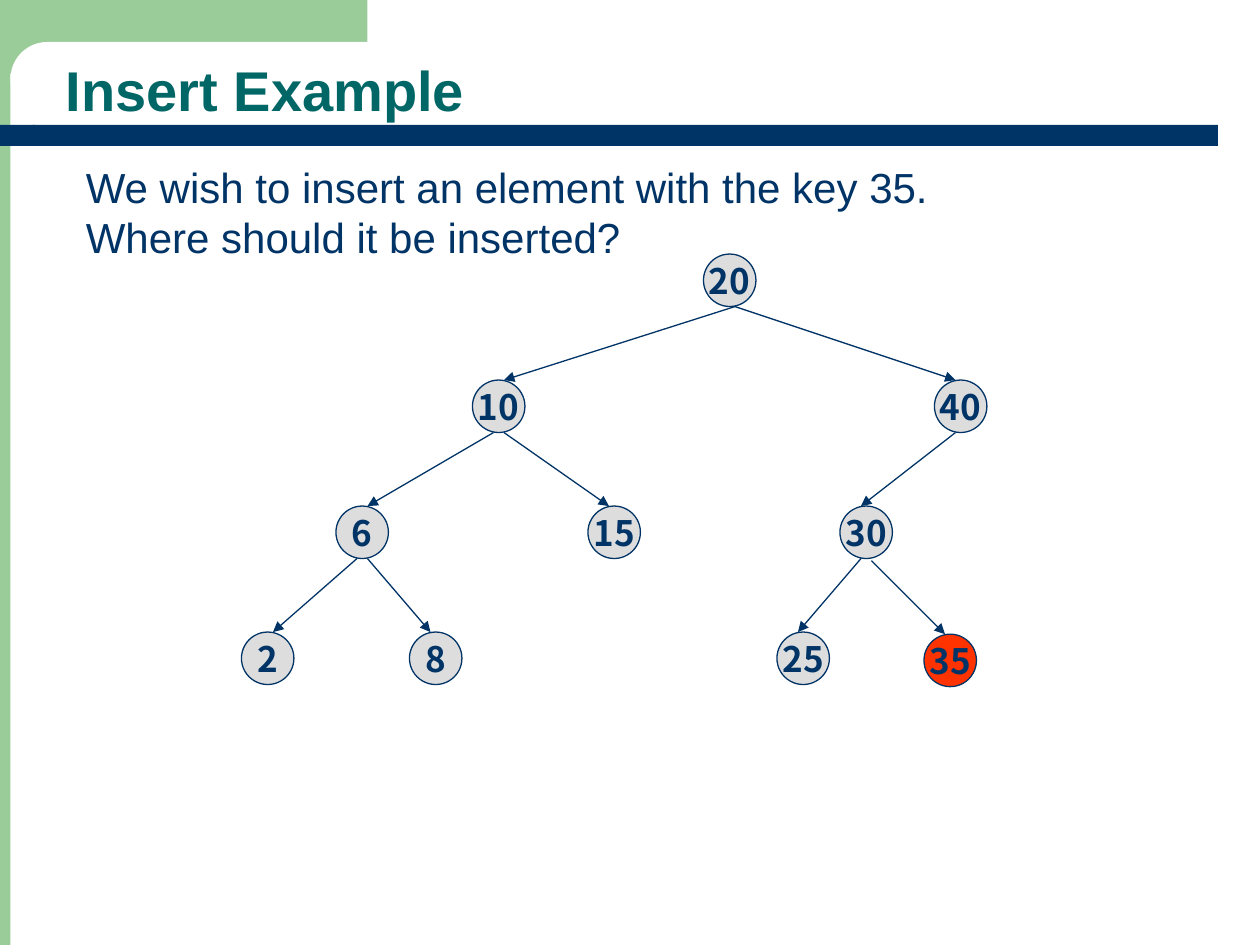
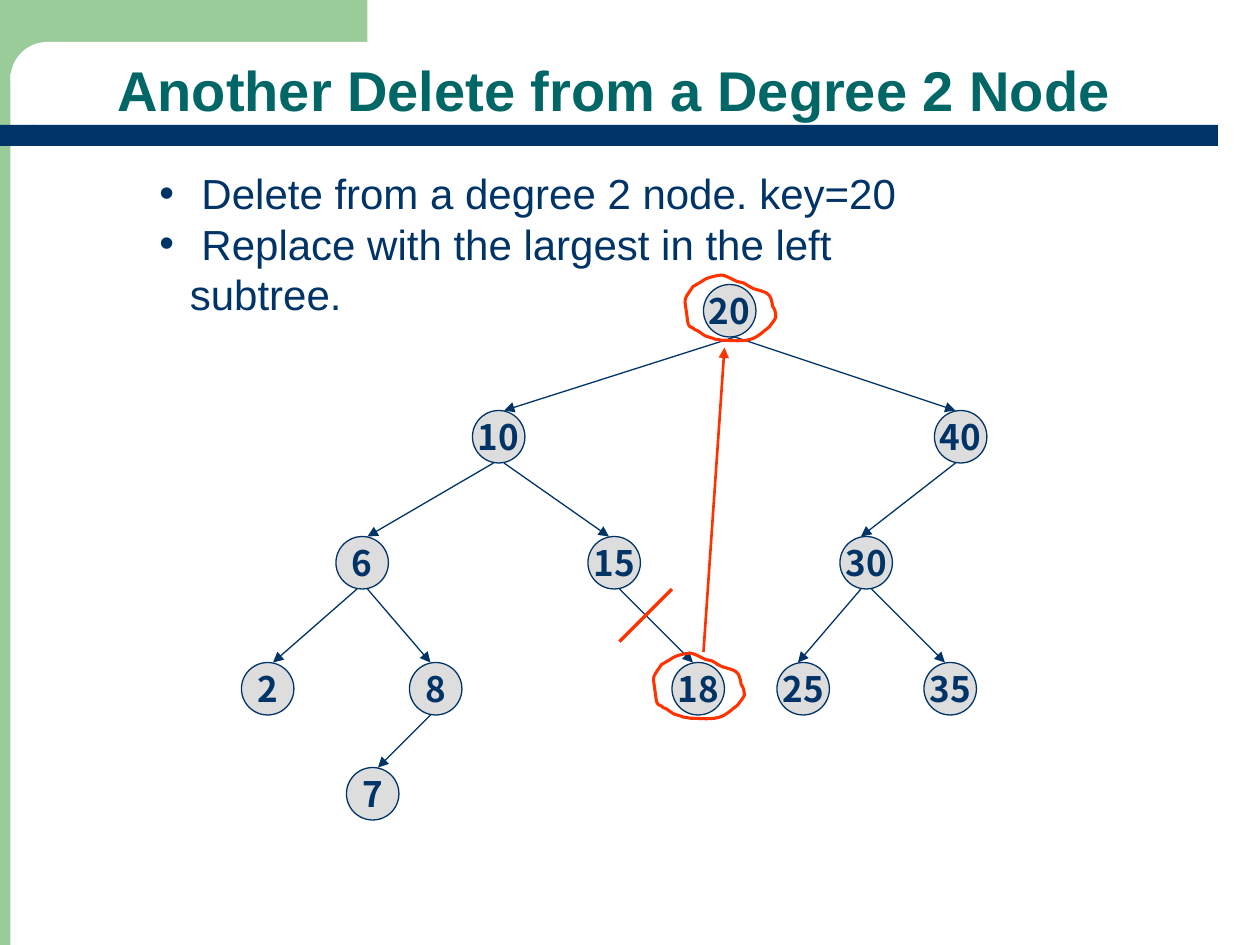
from pptx import Presentation
from pptx import util as u
from pptx.dml.color import RGBColor
from pptx.enum import shapes, text
from pptx.oxml.ns import qn
from lxml import etree

PX = 7620  # EMU per px, 120 px to the inch
GREEN = RGBColor(0x99, 0xCC, 0x99)
TEAL = RGBColor(0x00, 0x66, 0x66)
NAVY = RGBColor(0x00, 0x33, 0x66)
GRAY = RGBColor(0xDD, 0xDD, 0xDD)
RED = RGBColor(0xFF, 0x33, 0x00)
WHITE = RGBColor(0xFF, 0xFF, 0xFF)
BODY_FONT, NODE_FONT = "Arial", "Noto Sans CJK KR"

KIND = shapes.MSO_AUTO_SHAPE_TYPE
LEFT, CENTER = text.PP_ALIGN.LEFT, text.PP_ALIGN.CENTER

# kind, box, colour, corner roundness
FRAME = [
    (KIND.RECTANGLE, (-70, 0, 80, 900), GREEN, None),
    (KIND.RECTANGLE, (-20, 0, 370, 70), GREEN, None),
    (KIND.ROUNDED_RECTANGLE, (10, 40, 670, 70), WHITE, 0.5),
    (KIND.ROUNDED_RECTANGLE, (31, 119, 1129, 20), NAVY, 0),
    (KIND.FLOWCHART_DELAY, (-30, 119, 63, 20), NAVY, None),
]

NODE_SIZE, LEVEL_STEP = 50, 120
# key: (left, drop below the root)
NODES = {
    "20": (670, 0),
    "10": (450, LEVEL_STEP),
    "40": (890, LEVEL_STEP),
    "6": (320, 2 * LEVEL_STEP),
    "15": (560, 2 * LEVEL_STEP),
    "30": (800, 2 * LEVEL_STEP),
    "2": (230, 3 * LEVEL_STEP),
    "8": (390, 3 * LEVEL_STEP),
    "25": (740, 3 * LEVEL_STEP),
    "35": (880, 3 * LEVEL_STEP),
}
# parent, child, sideways shift of each end from the node's centre
EDGES = [
    ("20", "10", 5, 5), ("20", "40", 5, -5),
    ("10", "6", -5, 5), ("10", "15", 5, -5),
    ("40", "30", -5, -5),
    ("6", "2", -5, 5), ("6", "8", 5, -5),
    ("30", "25", -5, -5), ("30", "35", 5, -5),
]
EXTRA_NODES = {"18": (640, 3 * LEVEL_STEP), "7": (330, 3 * LEVEL_STEP + 100)}
EXTRA_EDGES = [("15", "18", 5, -5), ("8", "7", -5, 5)]

# "inserted" gives, for each new key, how much lower it and its edge sit
SLIDES = [
    {
        "title": "Insert Example",
        "title_box": (51, 44, 1050, 80), "title_align": LEFT,
        "body": ["We wish to insert an element with the key 35.",
                 "Where should it be inserted?"],
        "body_box": (70, 148, 830, 108), "bullets": False,
        "root_top": 242,
        "nodes": NODES,
        "edges": EDGES,
        "inserted": {"35": 2}, "circled": [], "marks": [],
    },
    {
        "title": "Another Delete from a Degree 2 Node",
        "title_box": (30, 44, 1110, 80), "title_align": CENTER,
        "body": [" Delete from a degree 2 node. key=20",
                 " Replace with the largest in the left subtree."],
        "body_box": (140, 154, 805, 108), "bullets": True,
        "root_top": 271,
        "nodes": NODES | EXTRA_NODES,
        "edges": EDGES + EXTRA_EDGES,
        "inserted": {}, "circled": ["20", "18"],
        # start, end, width, arrow
        "marks": [((590, 611), (640, 561), 2, False),
                  ((670, 621), (690, 331), 1.5, True)],
    },
]

# Hand-drawn ring: start point, then two controls and an end per curve
RING_OFFSET = (-20, -9)
RING_START = (38, 0)
RING_CURVES = [
    ((34, 0), (24, 2), (20, 5)), ((17, 7), (10, 11), (10, 11)),
    ((0, 26), (2, 19), (5, 44)), ((5, 46), (6, 48), (7, 49)),
    ((8, 50), (11, 50), (12, 52)), ((16, 53), (18, 56), (22, 58)),
    ((25, 59), (29, 60), (31, 61)), ((34, 61), (37, 62), (37, 62)),
    ((47, 62), (59, 64), (68, 60)), ((72, 58), (76, 55), (78, 53)),
    ((80, 52), (83, 49), (83, 49)), ((85, 46), (88, 43), (89, 40)),
    ((89, 36), (88, 32), (86, 30)), ((84, 17), (82, 17), (68, 13)),
    ((67, 12), (65, 12), (64, 11)), ((56, 6), (60, 8), (52, 6)),
    ((47, 4), (43, 1), (38, 0)),
]


def emu(*lengths):
    return [round(length * PX) for length in lengths]


def add_filled(slide, kind, box, fill, line=None):
    shape = slide.shapes.add_shape(kind, *emu(*box))
    shape.shadow.inherit = False
    shape.fill.solid()
    shape.fill.fore_color.rgb = fill
    if line is None:
        shape.line.fill.background()
    else:
        shape.line.color.rgb = line
        shape.line.width = u.Pt(0.75)
    return shape


def write(shape, lines, *, size, color, font=BODY_FONT, bold=False, align=LEFT,
          anchor=text.MSO_ANCHOR.TOP, wrap=True, spacing=None, bullets=False):
    frame = shape.text_frame
    frame.word_wrap = wrap
    frame.vertical_anchor = anchor
    for index, line in enumerate(lines):
        paragraph = frame.paragraphs[0] if index == 0 else frame.add_paragraph()
        paragraph.alignment = align
        paragraph.line_spacing = spacing
        run = paragraph.add_run()
        run.text = line
        run.font.size, run.font.bold, run.font.name = u.Pt(size), bold, font
        run.font.color.rgb = color
        if bullets:
            add_bullet(paragraph)


def add_bullet(paragraph):
    indent = emu(29)[0]
    properties = paragraph._p.get_or_add_pPr()
    properties.set("marL", str(indent))
    properties.set("indent", str(-indent))
    etree.SubElement(properties, qn("a:buFont")).set("typeface", BODY_FONT)
    etree.SubElement(properties, qn("a:buChar")).set("char", "•")


def add_line(slide, start, end, color, width, arrow=True):
    line = slide.shapes.add_connector(
        shapes.MSO_CONNECTOR.STRAIGHT, *emu(*start, *end))
    line.line.color.rgb = color
    line.line.width = u.Pt(width)
    if arrow:
        outline = line.line._get_or_add_ln()
        etree.SubElement(outline, qn("a:tailEnd")).set("type", "triangle")
    etree.SubElement(line._element.spPr, qn("a:effectLst"))


def bend_segments(shape):
    """Turn each three line segments of a freeform into one cubic curve."""
    segments = list(shape._element.iter(qn("a:lnTo")))
    for first in range(0, len(segments), 3):
        curve = etree.Element(qn("a:cubicBezTo"))
        segments[first].addprevious(curve)
        for segment in segments[first:first + 3]:
            curve.append(segment[0])
            segment.getparent().remove(segment)


def add_ring(slide, left, top):
    left, top = left + RING_OFFSET[0], top + RING_OFFSET[1]
    start, *points = [emu(left + x, top + y) for x, y in
                      [RING_START, *(point for curve in RING_CURVES for point in curve)]]
    builder = slide.shapes.build_freeform(*start)
    builder.add_line_segments(points, close=True)
    ring = builder.convert_to_shape()
    bend_segments(ring)
    ring.shadow.inherit = False
    ring.fill.background()
    ring.line.color.rgb = RED
    ring.line.width = u.Pt(1.75)


def add_frame(slide):
    for kind, box, color, roundness in FRAME:
        shape = add_filled(slide, kind, box, color)
        if roundness is not None:
            shape.adjustments[0] = roundness
        if kind == KIND.FLOWCHART_DELAY:
            shape._element.spPr.find(qn("a:xfrm")).set("flipH", "1")


def add_tree(slide, content):
    inserted = content["inserted"]
    places = {key: (left, content["root_top"] + drop + inserted.get(key, 0))
              for key, (left, drop) in content["nodes"].items()}
    for key, (left, top) in places.items():
        fill = RED if key in inserted else GRAY
        node = add_filled(slide, KIND.OVAL, (left, top, NODE_SIZE, NODE_SIZE),
                          fill, NAVY)
        write(node, [key], size=20, color=NAVY, font=NODE_FONT, bold=True,
              align=CENTER, anchor=text.MSO_ANCHOR.MIDDLE, wrap=False)
    for parent, child, start_shift, end_shift in content["edges"]:
        (parent_x, parent_y), (child_x, child_y) = places[parent], places[child]
        middle = NODE_SIZE / 2
        start_y = parent_y + NODE_SIZE + inserted.get(child, 0)
        add_line(slide, (parent_x + middle + start_shift, start_y),
                 (child_x + middle + end_shift, child_y), NAVY, 0.75)
    for key in content["circled"]:
        add_ring(slide, *places[key])
    for start, end, width, arrow in content["marks"]:
        add_line(slide, start, end, RED, width, arrow)


def add_slide(presentation, content):
    slide = presentation.slides.add_slide(presentation.slide_layouts[6])
    add_frame(slide)
    title = slide.shapes.add_textbox(*emu(*content["title_box"]))
    write(title, [content["title"]], size=32, color=TEAL, bold=True, spacing=0.9,
          align=content["title_align"], anchor=text.MSO_ANCHOR.BOTTOM)
    body = slide.shapes.add_textbox(*emu(*content["body_box"]))
    write(body, content["body"], size=24, color=NAVY, bullets=content["bullets"])
    add_tree(slide, content)


def main():
    presentation = Presentation()
    presentation.slide_width, presentation.slide_height = emu(1200, 900)
    for content in SLIDES:
        add_slide(presentation, content)
    presentation.save("out.pptx")


if __name__ == "__main__":
    main()
